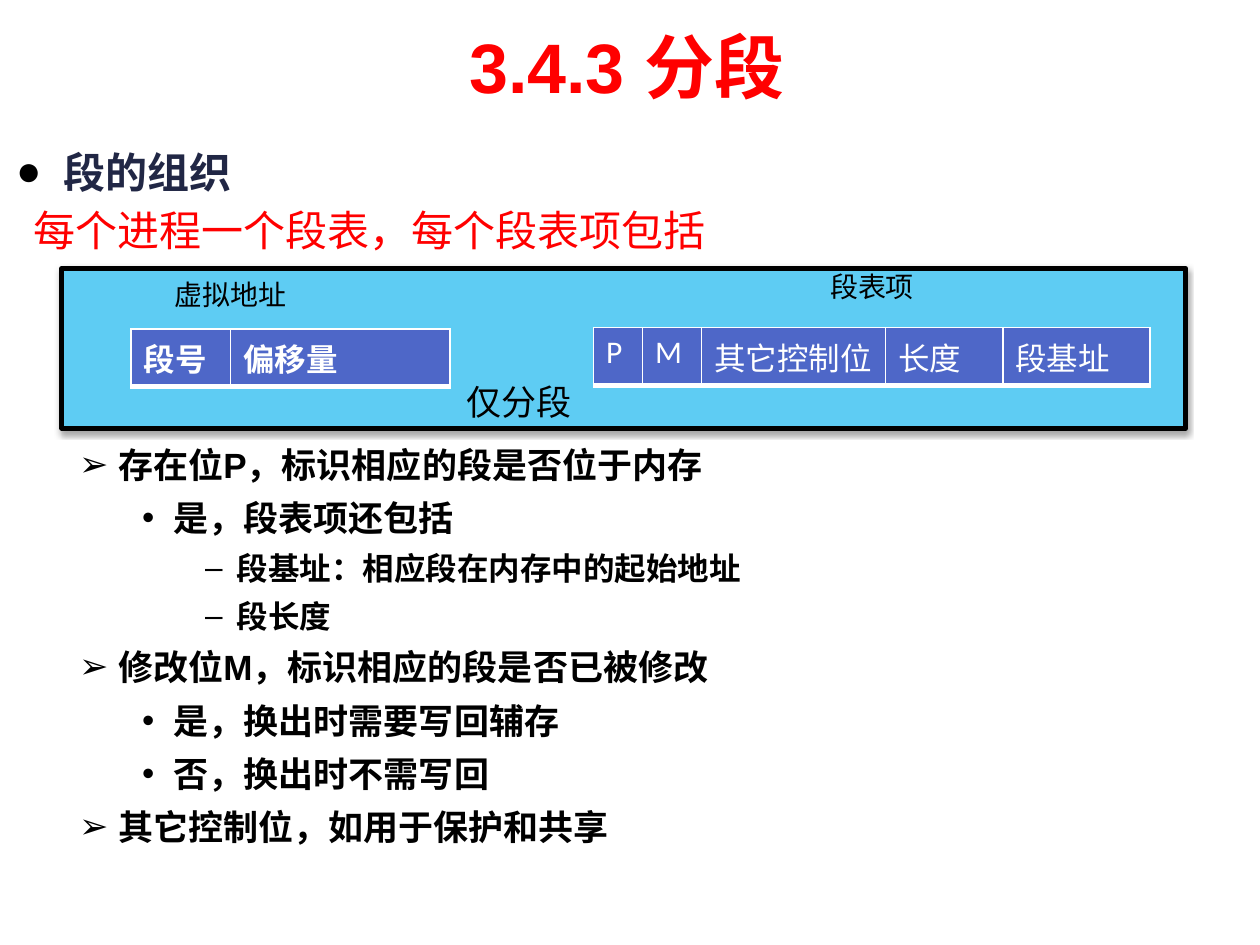
"""Build the slide on how segments are organised."""
from lxml.etree import SubElement
from pptx import Presentation
from pptx.dml.color import RGBColor
from pptx.enum.shapes import MSO_SHAPE
from pptx.enum.text import PP_ALIGN as Align
from pptx.oxml.ns import qn
from pptx.util import Inches, Pt

BLACK, WHITE, RED, NAVY = "000000", "FFFFFF", "FF0000", "212745"
SKY, BLUE = "5ECCF3", "4E67C8"

TITLE = "3.4.3 分段"
HEADING = "段的组织"
INTRO = "每个进程一个段表，每个段表项包括"
POINTS = [
    (1, "存在位P，标识相应的段是否位于内存"),
    (2, "是，段表项还包括"),
    (3, "段基址：相应段在内存中的起始地址"),
    (3, "段长度"),
    (1, "修改位M，标识相应的段是否已被修改"),
    (2, "是，换出时需要写回辅存"),
    (2, "否，换出时不需写回"),
    (1, "其它控制位，如用于保护和共享"),
]
LEVELS = {1: ("➢", 0.81, 0.31, 20), 2: ("•", 1.25, 0.25, 20), 3: ("–", 1.75, 0.25, 18)}
TABLES = [
    (4.71, 2.6, [("P", 0.39), ("M", 0.47), ("其它控制位", 1.46), ("长度", 0.93), ("段基址", 1.17)],
     "Calibri", False),
    (1.04, 2.61, [("段号", 0.79), ("偏移量", 1.74)], "Arial", True),
]
LABELS = [
    ("虚拟地址", 1.29, 2.15, 0.37, 16),
    ("段表项", 6.49, 2.09, 0.37, 16),
    ("仅分段", 3.6, 2.97, 0.44, 20),
]
BORDERS = {"a:lnL": 1, "a:lnR": 1, "a:lnT": 1, "a:lnB": 3}


def rgb(value):
    return RGBColor.from_string(value)


def add_box(page, left, top, width, height):
    box = page.shapes.add_textbox(Inches(left), Inches(top), Inches(width), Inches(height))
    box.text_frame.word_wrap = True
    return box.text_frame


def add_span(para, text, size, color=BLACK, bold=False, font="Arial"):
    span = para.add_run()
    span.text = text
    span.font.size = Pt(size)
    span.font.name = font
    span.font.bold = bold
    span.font.color.rgb = rgb(color)


def set_indent(para, left, hanging=0.0, bullet=None):
    props = para._p.get_or_add_pPr()
    props.set("marL", str(Inches(left)))
    props.set("indent", str(-Inches(hanging)))
    if bullet:
        SubElement(SubElement(props, qn("a:buClr")), qn("a:srgbClr"), val=BLACK)
        SubElement(props, qn("a:buFont"), typeface="Arial")
        SubElement(props, qn("a:buChar"), char=bullet)


def add_heading(page):
    frame = add_box(page, 0.03, 1.07, 9, 1)
    first = frame.paragraphs[0]
    set_indent(first, 0.38, 0.38, "●")
    first.line_spacing = 1.1
    add_span(first, HEADING, 24, NAVY, True, "Calibri")
    second = frame.add_paragraph()
    set_indent(second, 0.14)
    second.space_before = Pt(4.8)
    add_span(second, INTRO, 24, RED)


def add_points(page):
    frame = add_box(page, 0.03, 3.44, 9, 3.4)
    for index, (level, text) in enumerate(POINTS):
        para = frame.add_paragraph() if index else frame.paragraphs[0]
        bullet, left, hanging, size = LEVELS[level]
        para.level = level
        set_indent(para, left, hanging, bullet)
        para.line_spacing = 1.1
        para.space_before = Pt(size * 0.2 if index else 0)
        add_span(para, text, size, bold=True)


def add_panel(page):
    panel = page.shapes.add_shape(
        MSO_SHAPE.RECTANGLE, Inches(0.49), Inches(2.13), Inches(8.92), Inches(1.27))
    panel.fill.solid()
    panel.fill.fore_color.rgb = rgb(SKY)
    panel.line.color.rgb = rgb(BLACK)
    panel.line.width = Pt(2.75)
    panel.shadow.inherit = False
    effects = panel._element.spPr.find(qn("a:effectLst"))
    shadow = SubElement(effects, qn("a:outerShdw"), blurRad=str(Pt(3.1)),
                        dist=str(Pt(1.8)), dir="5400000", rotWithShape="0")
    color = SubElement(shadow, qn("a:srgbClr"), val=BLACK)
    SubElement(color, qn("a:alpha"), val="35000")


def style_cell(cell):
    props = cell._tc.get_or_add_tcPr()
    for side, width in BORDERS.items():
        line = SubElement(props, qn(side), w=str(Pt(width)))
        SubElement(SubElement(line, qn("a:solidFill")), qn("a:srgbClr"), val=WHITE)
    cell.fill.solid()
    cell.fill.fore_color.rgb = rgb(BLUE)


def add_fields(page, left, top, fields, font, bold):
    total = sum(width for _, width in fields)
    table = page.shapes.add_table(
        1, len(fields), Inches(left), Inches(top), Inches(total), Inches(0.46)).table
    for index, (text, width) in enumerate(fields):
        table.columns[index].width = Inches(width)
        cell = table.cell(0, index)
        style_cell(cell)
        para = cell.text_frame.paragraphs[0]
        para.alignment = Align.JUSTIFY
        add_span(para, text, 18, WHITE, bold, font)


def main():
    deck = Presentation()
    deck.slide_width, deck.slide_height = Inches(10), Inches(7.5)
    page = deck.slides.add_slide(deck.slide_layouts[6])
    title = add_box(page, 1.06, 0.14, 7.83, 0.62).paragraphs[0]
    title.alignment = Align.CENTER
    add_span(title, TITLE, 40, RED, True)
    add_heading(page)
    add_points(page)
    add_panel(page)
    for fields in TABLES:
        add_fields(page, *fields)
    for text, left, top, height, size in LABELS:
        add_span(add_box(page, left, top, 1.42, height).paragraphs[0], text, size)
    deck.save("out.pptx")


if __name__ == "__main__":
    main()
